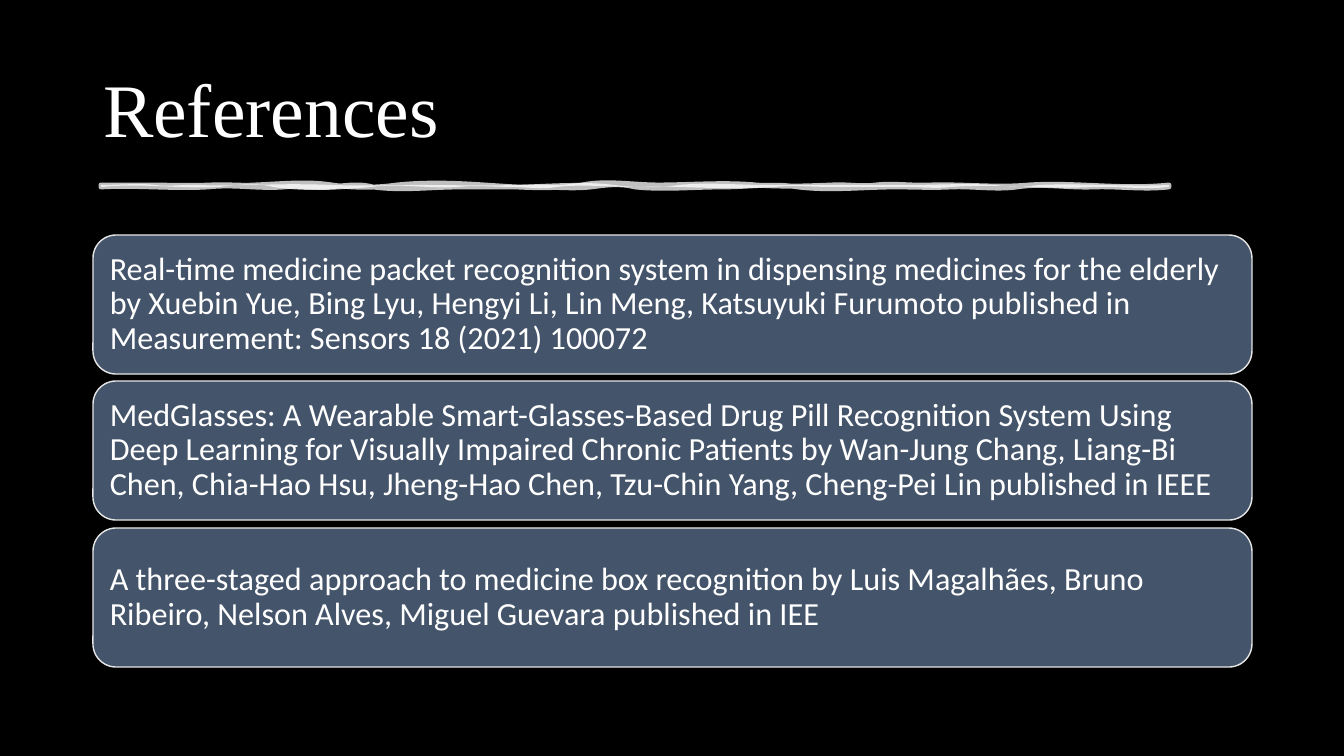
from dataclasses import dataclass
from typing import NamedTuple

from lxml import etree
from pptx import Presentation, util as u
from pptx.dml.color import RGBColor
from pptx.enum import shapes, text
from pptx.oxml.ns import qn

SCALE = 12192000 / 1344
WHITE = "FFFFFF"


class Wave(NamedTuple):
    end: int
    first: int
    second: int


@dataclass
class Stroke:
    upper: list[tuple[int, int, int]]
    lower: list[tuple[int, int, int]]
    hide: tuple[str, str]


@dataclass
class Card:
    words: str
    top: int


LEFT, TOP, WIDE, THICK = 101, 185, 1068, 2
STROKES = [
    Stroke(
        [(145, 0, 0), (211, 0, 1), (255, -1, 1), (332, -1, -4), (397, 3, 3),
         (484, -3, -2), (582, 2, 5), (658, -5, 0), (756, 0, -3), (832, 2, 1),
         (876, -1, 2), (931, -2, 1), (1029, -1, 3), (1169, -3, 5)],
        [(1093, 3, -1), (1017, 1, -4), (951, 3, -1), (896, 1, 0), (798, 0, 4),
         (722, -4, 0), (635, 0, 3), (591, -4, -2), (536, 2, 0), (460, 0, 0),
         (373, 0, 4), (329, -4, -1), (284, 1, -2), (208, 2, -3), (101, 2, -2)],
        ("fill", "none")),
    Stroke(
        [(156, 0, -2), (200, 2, -1), (255, 1, 0), (332, -1, -1), (418, 1, 0),
         (516, 0, 1), (614, -1, -4), (679, 3, 3), (766, -3, 0), (843, 0, 0),
         (908, 0, 0), (995, 0, -2), (1039, 2, 2), (1169, -2, 2)],
        [(1093, 3, -1), (1038, 1, 1), (951, -1, -2), (907, 2, 0), (831, 0, 0),
         (775, 0, -2), (677, 2, 1), (633, -1, 0), (557, 0, -3), (513, 3, 0),
         (458, 0, -2), (371, 2, -4), (273, 3, 5), (219, -5, -2), (101, 2, -4)],
        ("stroke", "0")),
]
WORKS = [
    "Real-time medicine packet recognition system in dispensing medicines for the elderly "
    "by Xuebin Yue, Bing Lyu, Hengyi Li, Lin Meng, Katsuyuki Furumoto published in "
    "Measurement: Sensors 18 (2021) 100072",
    "MedGlasses: A Wearable Smart-Glasses-Based Drug Pill Recognition System Using "
    "Deep Learning for Visually Impaired Chronic Patients by Wan-Jung Chang, Liang-Bi "
    "Chen, Chia-Hao Hsu, Jheng-Hao Chen, Tzu-Chin Yang, Cheng-Pei Lin published in IEEE",
    "A three-staged approach to medicine box recognition by Luis Magalhães, Bruno "
    "Ribeiro, Nelson Alves, Miguel Guevara published in IEE",
]
CARDS = [Card(words, 235 + 293 * row // 2) for row, words in enumerate(WORKS)]


def px(size: int) -> u.Emu:
    return u.Emu(round(size * SCALE))


def paint(fill, tone: str, alpha: int = 100) -> None:
    fill.solid()
    fill.fore_color.rgb = RGBColor.from_string(tone)
    if alpha < 100:
        for node in fill._xPr.iter(qn("a:srgbClr")):
            etree.SubElement(node, qn("a:alpha")).set("val", str(alpha * 1000))


def write(frame, words: str, font: str, size: int) -> None:
    frame.word_wrap = True
    frame.auto_size = text.MSO_AUTO_SIZE.NONE
    frame.vertical_anchor = text.MSO_ANCHOR.MIDDLE
    para = frame.paragraphs[0]
    para.alignment = text.PP_ALIGN.LEFT
    para.line_spacing = 0.9
    run = para.add_run()
    run.text = words
    run.font.name = font
    run.font.size = u.Pt(size)
    paint(run.font.fill, WHITE)


def add_step(route, kind: str, dots: list[tuple[int, int]]) -> None:
    step = etree.SubElement(route, qn(f"a:{kind}"))
    for x, y in dots:
        spot = etree.SubElement(step, qn("a:pt"))
        spot.set("x", str(x))
        spot.set("y", str(y))


def add_edge(route, start: int, base: int, waves: list[tuple[int, int, int]]) -> None:
    for wave in map(Wave._make, waves):
        end = wave.end - LEFT
        third = (end - start) // 3
        add_step(route, "cubicBezTo", [
            (start + third, base + wave.first), (end - third, base + wave.second), (end, base)])
        start = end


def draw_rule(slide) -> None:
    pen = slide.shapes.build_freeform(px(LEFT), px(TOP))
    pen.add_line_segments([(px(LEFT + WIDE), px(TOP + THICK))])
    shape = pen.convert_to_shape()
    shape.shadow.inherit = False
    paint(shape.fill, WHITE, 75)
    paint(shape.line.fill, WHITE, 75)
    shape.line.width = u.Pt(3.5)
    routes = next(shape._element.iter(qn("a:pathLst")))
    for old in list(routes):
        routes.remove(old)
    for stroke in STROKES:
        route = etree.SubElement(routes, qn("a:path"))
        route.set("w", str(WIDE))
        route.set("h", str(THICK))
        route.set(*stroke.hide)
        add_step(route, "moveTo", [(0, 0)])
        add_edge(route, 0, 0, stroke.upper)
        add_step(route, "lnTo", [(WIDE, THICK)])
        add_edge(route, WIDE, THICK, stroke.lower)
        etree.SubElement(route, qn("a:close"))


def draw_back(slide) -> None:
    shape = slide.shapes.add_shape(shapes.MSO_SHAPE.RECTANGLE, 0, 0, px(1344), px(756))
    shape.shadow.inherit = False
    paint(shape.fill, "000000")
    shape.line.fill.background()
    slide.shapes.title._element.addprevious(shape._element)


def draw_card(slide, card: Card) -> None:
    shape = slide.shapes.add_shape(
        shapes.MSO_SHAPE.ROUNDED_RECTANGLE, px(93), px(card.top), px(1159), px(139))
    shape.shadow.inherit = False
    paint(shape.fill, "44546A")
    paint(shape.line.fill, "E7E6E6")
    shape.line.width = u.Pt(1)
    frame = shape.text_frame
    frame.margin_left = frame.margin_right = px(10)
    frame.margin_top = frame.margin_bottom = px(10)
    write(frame, card.words, "Calibri", 23)


def main() -> None:
    deck = Presentation()
    deck.slide_width, deck.slide_height = px(1344), px(756)
    slide = deck.slides.add_slide(deck.slide_layouts.get_by_name("Title Only"))
    draw_back(slide)
    title = slide.shapes.title
    title.left, title.top, title.width, title.height = px(93), px(40), px(1159), px(146)
    write(title.text_frame, "References", "Times New Roman", 54)
    draw_rule(slide)
    for card in CARDS:
        draw_card(slide, card)
    deck.save("out.pptx")


if __name__ == "__main__":
    main()
